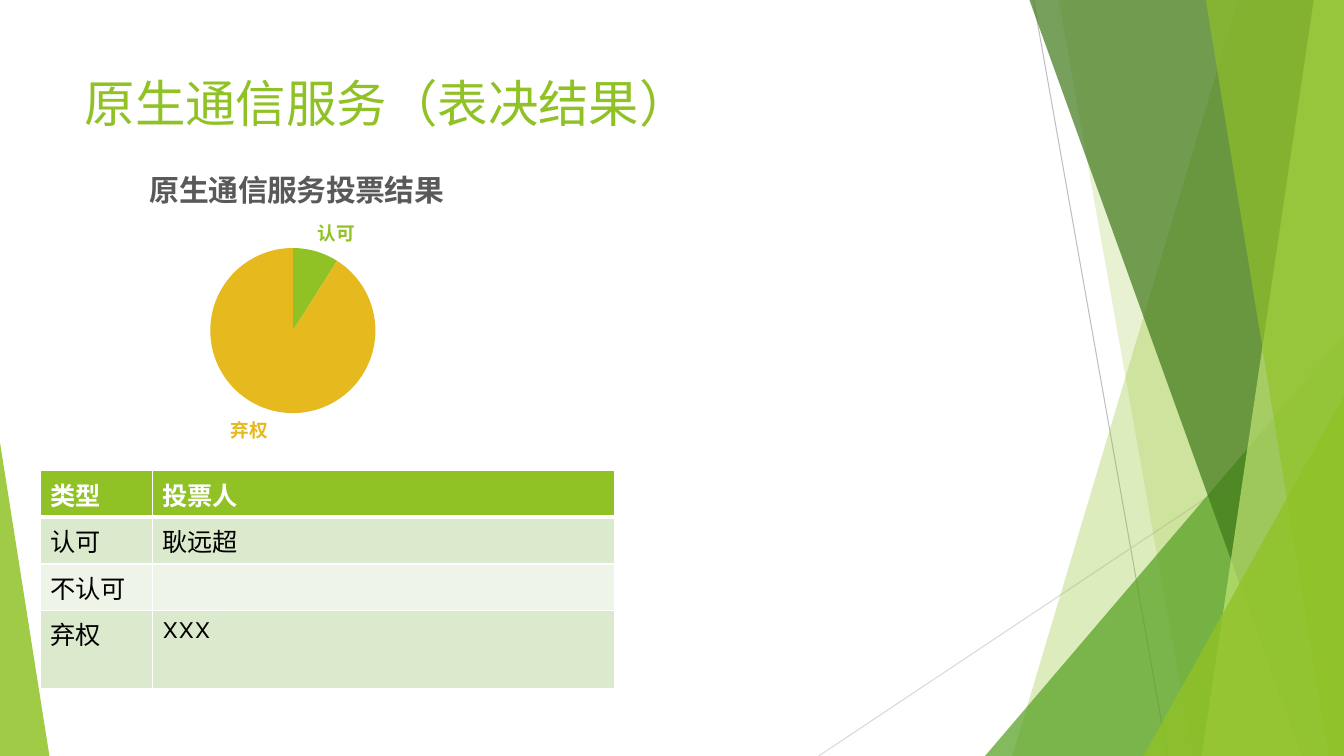
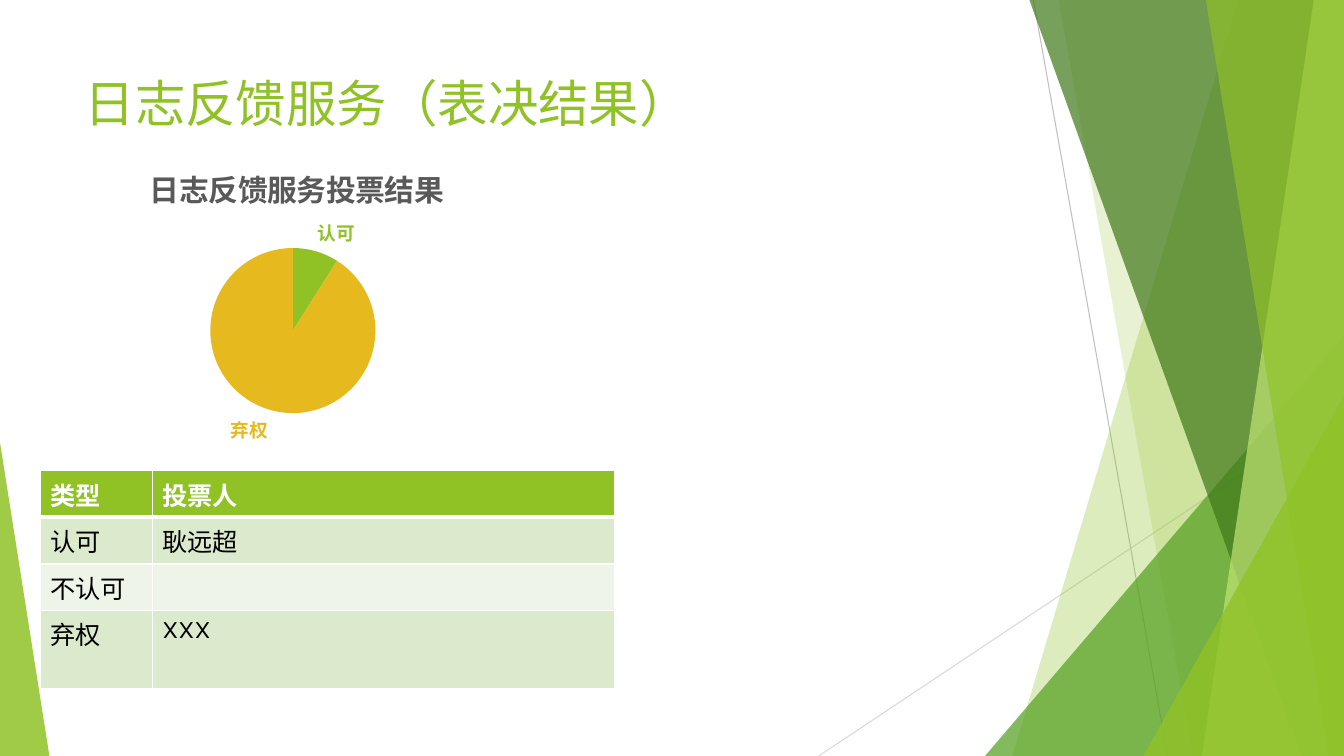
from lxml import etree
from pptx import Presentation
from pptx.chart import data
from pptx.dml.color import RGBColor
from pptx.enum import chart as ch, shapes, text
from pptx.oxml import ns, parse_xml
from pptx.util import Inches, Pt

# Shared look
WIDE, HIGH = 13.33, 7.5
FONT = "Karla"
LIME = RGBColor(0x90, 0xC2, 0x26)
GREEN = RGBColor(0x54, 0xA0, 0x21)
DARK = RGBColor(0x3F, 0x78, 0x19)
PALE = RGBColor(0xC0, 0xE4, 0x74)
GOLD = RGBColor(0xE6, 0xB9, 0x1E)
WHITE = RGBColor(0xFF, 0xFF, 0xFF)
BLACK = RGBColor(0, 0, 0)
GREY = RGBColor(0x59, 0x59, 0x59)
SILVER = RGBColor(0xBF, 0xBF, 0xBF)
MIST = RGBColor(0xD9, 0xD9, 0xD9)
TINTS = RGBColor(0xDB, 0xE9, 0xCD), RGBColor(0xEE, 0xF4, 0xE8)

# Slide content
TOPICS = ["原生通信服务", "日志反馈服务"]
KINDS = ["认可", "不认可", "弃权"]
VOTES = [9, 0, 91]
ROWS = [["类型", "投票人"], ["认可", "耿远超"], ["不认可", ""], ["弃权", "XXX"]]


def set_font(font, size, color, bold=False):
    font.name, font.size, font.bold = FONT, Pt(size), bold
    font.color.rgb = color


# Background band
def add_line(page, x1, y1, x2, y2, color):
    line = page.shapes.add_connector(
        shapes.MSO_CONNECTOR.STRAIGHT, *map(Inches, (x1, y1, x2, y2)))
    line.line.color.rgb = color
    line.line.width = Pt(0.75)
    etree.SubElement(line.element.spPr, ns.qn("a:effectLst"))


def paint(shape, color, alpha):
    shape.shadow.inherit = False
    shape.line.fill.background()
    shape.fill.solid()
    shape.fill.fore_color.rgb = color
    for node in shape.element.xpath("./p:spPr/a:solidFill/a:srgbClr"):
        etree.SubElement(node, ns.qn("a:alpha"), val=str(alpha * 1000))


def add_pane(page, top, base, color, alpha):
    """Pane from a slanted left edge to the right side of the slide."""
    pen = page.shapes.build_freeform(Inches(top), 0)
    pen.add_line_segments([(Inches(x), Inches(y)) for x, y in
                           ((WIDE, 0), (WIDE, HIGH), (base, HIGH))])
    paint(pen.convert_to_shape(), color, alpha)


def add_wedge(page, left, top, wide, peak, color, alpha):
    """Triangle on the lower edge; peak is 0 for left, 1 for right."""
    wedge = page.shapes.add_shape(
        shapes.MSO_SHAPE.ISOSCELES_TRIANGLE,
        *map(Inches, (left, top, wide, HIGH - top)))
    wedge.adjustments[0] = peak
    paint(wedge, color, alpha)


def draw_band(page):
    add_line(page, 10.25, 0, 11.58, HIGH, SILVER)
    add_line(page, WIDE, 4.03, 8.12, HIGH, MIST)
    add_pane(page, 12.28, 10.04, LIME, 30)
    add_pane(page, 10.5, 11.83, LIME, 20)
    add_wedge(page, 9.77, 3.33, 3.56, 1, GREEN, 72)
    add_pane(page, 10.21, 12.91, DARK, 70)
    add_pane(page, 13.03, 11.92, PALE, 70)
    add_pane(page, 11.96, 13.18, LIME, 65)
    add_wedge(page, 11.34, 3.93, 1.99, 1, LIME, 80)
    add_wedge(page, 0, 4.39, 0.49, 0, LIME, 85)


def share_band(page):
    """Draw the band once and hand it to the layout, behind its title."""
    layout = page.slide_layout
    title = shapes.PP_PLACEHOLDER.TITLE
    for item in list(layout.placeholders):
        if item.placeholder_format.type != title:
            item.element.getparent().remove(item.element)
    draw_band(page)
    parts = [s.element for s in page.shapes if not s.is_placeholder]
    for spot, part in enumerate(parts, 2):
        layout.shapes.element.insert(spot, part)


# Slide parts
def add_title(page, words):
    title = page.shapes.title
    title.left, title.top, title.width, title.height = map(
        Inches, (0.74, 0.67, 9.4, 1.44))
    frame = title.text_frame
    frame.text = words
    frame.vertical_anchor = text.MSO_ANCHOR.TOP
    para = frame.paragraphs[0]
    para.alignment = text.PP_ALIGN.LEFT
    set_font(para.font, 36, LIME)


def place(node, spot, inner=False, **sides):
    """Fix a chart part at shares of the chart's width and height."""
    for old in node.findall(ns.qn("c:layout")):
        node.remove(old)
    tags = '<c:layoutTarget val="inner"/>' if inner else ""
    tags += '<c:xMode val="edge"/><c:yMode val="edge"/>'
    tags += "".join(f'<c:{k} val="{v}"/>' for k, v in sides.items())
    node.insert(spot, parse_xml(
        f'<c:layout {ns.nsdecls("c")}><c:manualLayout>{tags}'
        '</c:manualLayout></c:layout>'))


def add_pie(page, words):
    votes = data.CategoryChartData()
    votes.categories = KINDS
    votes.add_series("Series 1", VOTES)
    pie = page.shapes.add_chart(
        ch.XL_CHART_TYPE.PIE, *map(Inches, (0.74, 1.39, 4.33, 3.15)),
        votes).chart
    set_font(pie.font, 10, BLACK)
    pie.has_legend = False
    pie.has_title = True
    frame = pie.chart_title.text_frame
    frame.text = words
    set_font(frame.paragraphs[0].font, 21.3, GREY, True)

    # Slices, with a label on each one that has votes
    plot = pie.plots[0]
    plot.vary_by_categories = True
    row = plot.series[0]
    row.data_labels.show_value = False
    for i, color in enumerate((LIME, GREEN, GOLD)):
        point = row.points[i]
        point.format.fill.solid()
        point.format.fill.fore_color.rgb = color
        if VOTES[i]:
            set_font(point.data_label.font, 13.3, color, True)
            point.data_label.position = ch.XL_LABEL_POSITION.OUTSIDE_END
    for tag, val in (("showVal", "0"), ("showCatName", "1")):
        for node in pie.element.xpath(f".//c:dLbl/c:{tag}"):
            node.set("val", val)

    place(pie.element.xpath(".//c:chart/c:title")[0], 1, x=0.16, y=0.06)
    place(pie.element.xpath(".//c:plotArea")[0], 0, True,
          x=0.31, y=0.34, w=0.38, h=0.52)


def add_edges(cell, top, base):
    props = cell._tc.get_or_add_tcPr()
    for side, size in (("L", 1), ("R", 1), ("T", top), ("B", base)):
        props.append(parse_xml(
            f'<a:ln{side} {ns.nsdecls("a")} w="{Pt(size)}"><a:solidFill>'
            f'<a:srgbClr val="{WHITE}"/></a:solidFill></a:ln{side}>'))


def add_grid(page):
    grid = page.shapes.add_table(
        len(ROWS), 2, *map(Inches, (0.4, 4.67, 5.7, 2.15))).table
    for col, wide in zip(grid.columns, (1.11, 4.59)):
        col.width = Inches(wide)
    for r, (row, high) in enumerate(zip(grid.rows, (0.46, 0.46, 0.46, 0.77))):
        row.height = Inches(high)
        head = r == 0
        for cell, words in zip(row.cells, ROWS[r]):
            add_edges(cell, 3 if r == 1 else 1, 3 if head else 1)
            cell.fill.solid()
            cell.fill.fore_color.rgb = LIME if head else TINTS[(r - 1) % 2]
            cell.text = words
            set_font(cell.text_frame.paragraphs[0].font, 18,
                     WHITE if head else BLACK, head)


def main():
    deck = Presentation()
    deck.slide_width, deck.slide_height = Inches(WIDE), Inches(HIGH)
    layout = deck.slide_layouts[5]
    pages = [deck.slides.add_slide(layout) for _ in TOPICS]
    share_band(pages[0])
    for page, topic in zip(pages, TOPICS):
        add_title(page, f"{topic}（表决结果）")
        add_pie(page, f"{topic}投票结果")
        add_grid(page)
    deck.save("out.pptx")


if __name__ == "__main__":
    main()
